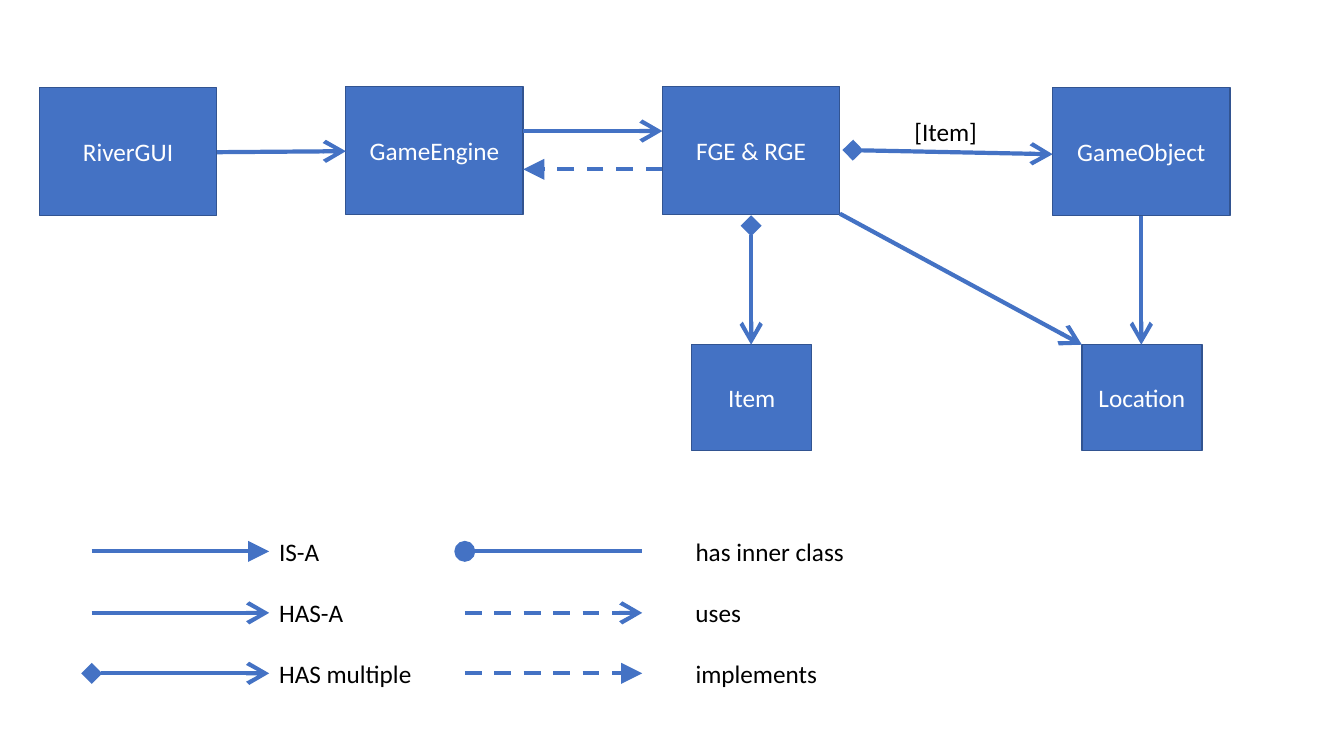
from pptx import Presentation
from pptx.dml.color import RGBColor
from pptx.enum.dml import MSO_LINE_DASH_STYLE as DASH
from pptx.enum.shapes import MSO_CONNECTOR as CONNECTOR, MSO_SHAPE as SHAPE
from pptx.enum.text import MSO_ANCHOR as ANCHOR, MSO_AUTO_SIZE as AUTO_SIZE, PP_ALIGN as ALIGN
from pptx.oxml.ns import qn
from pptx.util import Inches, Pt
from lxml.etree import SubElement


def color(value):
    return RGBColor.from_string(value)


class ClassDiagram:
    font = "Calibri"
    font_size = 18
    blue = "4472C4"
    border = "325491"
    white = "FFFFFF"
    black = "000000"

    def __init__(self, slide):
        self.slide = slide

    def add_run(self, paragraph, text, text_color):
        run = paragraph.add_run()
        run.text = text
        run.font.name = self.font
        run.font.size = Pt(self.font_size)
        run.font.color.rgb = color(text_color)

    def add_box(self, text, left, top, width, height):
        shape = self.slide.shapes.add_shape(
            SHAPE.RECTANGLE, Inches(left), Inches(top), Inches(width), Inches(height))
        shape.shadow.inherit = False
        shape.fill.solid()
        shape.fill.fore_color.rgb = color(self.blue)
        shape.line.color.rgb = color(self.border)
        shape.line.width = Pt(1)
        shape.text_frame.vertical_anchor = ANCHOR.MIDDLE
        paragraph = shape.text_frame.paragraphs[0]
        paragraph.alignment = ALIGN.CENTER
        self.add_run(paragraph, text, self.white)

    def add_label(self, text, left, top, width):
        text_box = self.slide.shapes.add_textbox(
            Inches(left), Inches(top), Inches(width), Inches(0.4))
        text_box.text_frame.word_wrap = False
        text_box.text_frame.auto_size = AUTO_SIZE.SHAPE_TO_FIT_TEXT
        self.add_run(text_box.text_frame.paragraphs[0], text, self.black)

    def add_line(self, start, end, head=None, tail=None, dashed=False):
        connector = self.slide.shapes.add_connector(
            CONNECTOR.STRAIGHT, *(Inches(value) for value in (*start, *end)))
        connector.line.color.rgb = color(self.blue)
        connector.line.width = Pt(3)
        if dashed:
            connector.line.dash_style = DASH.DASH
        properties = connector._element.spPr
        outline = properties.find(qn("a:ln"))
        for tag, kind in (("a:headEnd", head), ("a:tailEnd", tail)):
            if kind:
                SubElement(outline, qn(tag), type=kind, w="lg", len="lg")
        SubElement(properties, qn("a:effectLst"))


presentation = Presentation()
presentation.slide_width = Inches(13.33)
presentation.slide_height = Inches(7.5)
diagram = ClassDiagram(presentation.slides.add_slide(presentation.slide_layouts[6]))

MAIN_SIZE = (1.76, 1.27)
for text, left, top in (
    ("RiverGUI", 0.39, 0.87),
    ("GameEngine", 3.43, 0.86),
    ("FGE & RGE", 6.57, 0.86),
    ("GameObject", 10.44, 0.87),
):
    diagram.add_box(text, left, top, *MAIN_SIZE)

for text, left in (("Item", 6.86), ("Location", 10.73)):
    diagram.add_box(text, left, 3.42, 1.19, 1.05)

IS_A = {"tail": "triangle"}
HAS_A = {"tail": "arrow"}
HAS_MULTIPLE = {"head": "diamond", "tail": "arrow"}
INNER_CLASS = {"head": "oval"}
USES = {"tail": "arrow", "dashed": True}
IMPLEMENTS = {"tail": "triangle", "dashed": True}

for start, end, relation in (
    ((2.15, 1.51), (3.43, 1.5), HAS_A),
    ((5.19, 1.3), (6.57, 1.3), HAS_A),
    ((6.57, 1.68), (5.19, 1.68), IMPLEMENTS),
    ((8.46, 1.49), (10.44, 1.53), HAS_MULTIPLE),
    ((8.33, 2.12), (10.73, 3.42), HAS_A),
    ((7.45, 2.24), (7.45, 3.42), HAS_MULTIPLE),
    ((11.32, 2.14), (11.32, 3.42), HAS_A),
):
    diagram.add_line(start, end, **relation)
diagram.add_label("[Item]", 8.97, 1.1, 0.83)

LEGEND_ROWS = (5.47, 6.08, 6.68)
LEGEND_LINE_WIDTH = 1.76
LEGEND = (
    (0.91, 2.67, (("IS-A", 0.6, IS_A), ("HAS-A", 0.84, HAS_A),
                  ("HAS multiple", 1.53, HAS_MULTIPLE))),
    (4.61, 6.8, (("has inner class", 1.69, INNER_CLASS), ("uses", 0.66, USES),
                 ("implements", 1.42, IMPLEMENTS))),
)
for line_left, label_left, entries in LEGEND:
    for row, (text, width, relation) in zip(LEGEND_ROWS, entries):
        diagram.add_line((line_left, row), (line_left + LEGEND_LINE_WIDTH, row), **relation)
        diagram.add_label(text, label_left, row - 0.2, width)

presentation.save("out.pptx")
